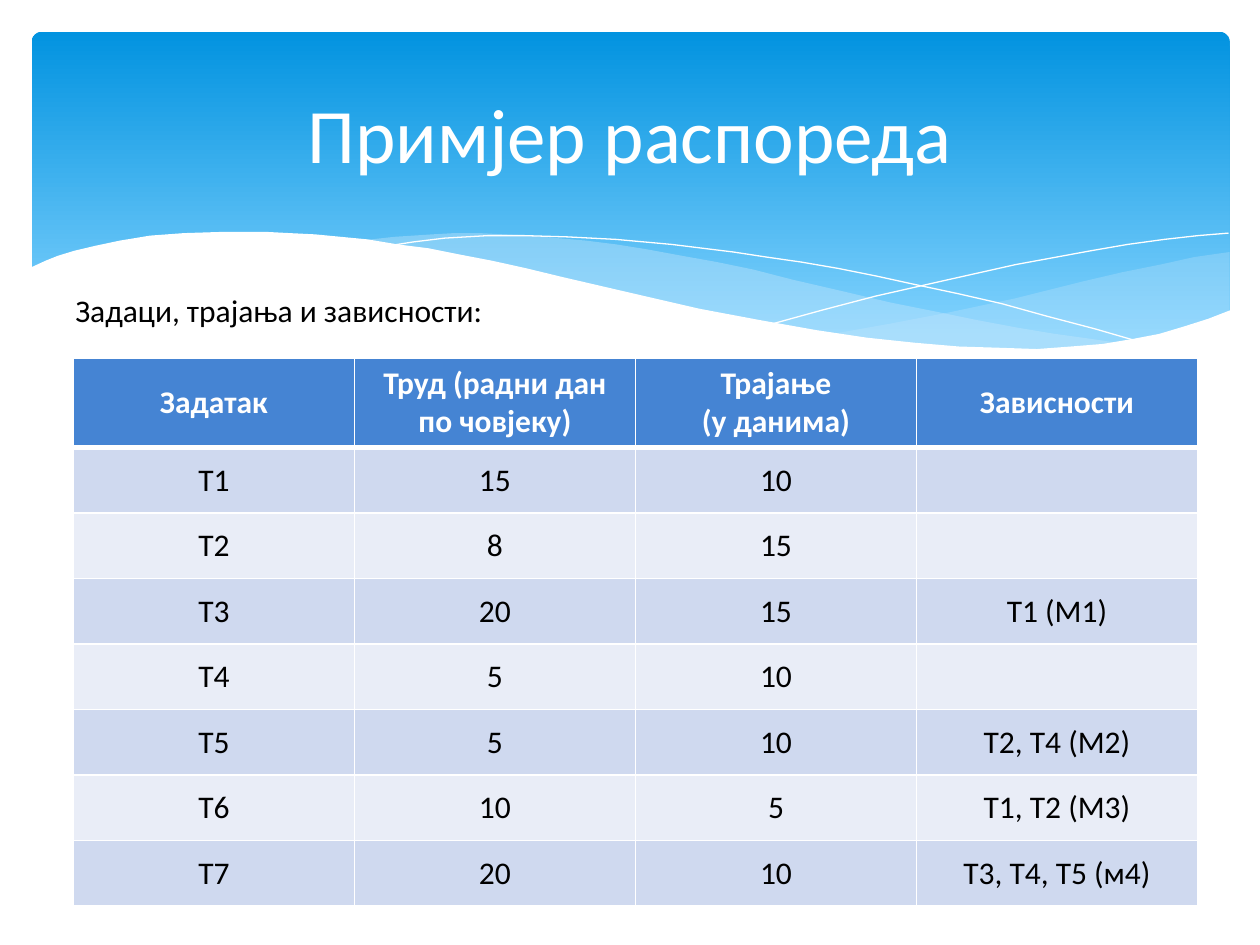
from lxml import etree
from pptx import Presentation
from pptx.dml.color import RGBColor
from pptx.enum.shapes import MSO_AUTO_SHAPE_TYPE as Shape
from pptx.enum.text import MSO_ANCHOR as Anchor, MSO_AUTO_SIZE as AutoSize, PP_ALIGN as Align
from pptx.oxml.ns import qn
from pptx.util import Cm, Pt

TITLE = "Примјер распореда"
CAPTION = "Задаци, трајања и зависности:"
ROWS = [
    ("Задатак", "Труд (радни дан по човјеку)", "Трајање\n(у данима)", "Зависности"),
    ("Т1", "15", "10", ""),
    ("Т2", "8", "15", ""),
    ("Т3", "20", "15", "Т1 (М1)"),
    ("Т4", "5", "10", ""),
    ("Т5", "5", "10", "Т2, Т4 (М2)"),
    ("Т6", "10", "5", "Т1, Т2 (М3)"),
    ("Т7", "20", "10", "Т3, Т4, Т5 (м4)"),
]
FONT = "Calibri"
COLORS = {
    "white": "FFFFFF", "black": "000000", "sky_top": "0293E0", "sky_low": "83D3FE",
    "wave": "C6E7FC", "header": "4584D3", "odd": "CFD9EF", "even": "E9EDF7",
}
WAVE_UNIT = Cm(2.54) / 100
RIGHT_WAVE = [
    (976, 200), (948, 204), (921, 210), (891, 216), (861, 223), (805, 237), (753, 248),
    (706, 257), (661, 265), (691, 269), (719, 272), (745, 275), (769, 277), (803, 278),
    (835, 277), (863, 275), (889, 272), (913, 267), (935, 262), (949, 257), (963, 252),
    (976, 247),
]
LONG_WAVE = [
    (893, 273), (866, 269), (837, 265), (807, 260), (775, 254), (741, 247), (706, 240),
    (668, 231), (629, 222), (598, 214), (569, 208), (541, 203), (514, 198), (489, 194),
    (465, 191), (442, 189), (420, 187), (399, 186), (380, 185), (361, 185), (344, 186),
    (313, 188), (286, 191), (323, 196), (362, 203), (404, 211), (449, 222), (491, 232),
    (530, 240), (566, 248), (601, 255), (634, 261), (665, 266), (695, 270), (722, 274),
    (748, 276), (773, 277), (796, 278), (828, 278), (857, 277), (876, 275),
]
FALLING_LINE = [
    (309, 195), (328, 192), (353, 189), (387, 187), (416, 187), (450, 188), (489, 190),
    (533, 194), (582, 200), (608, 204), (636, 208), (665, 213), (695, 219), (727, 226),
    (760, 233), (795, 241), (831, 251), (869, 261), (907, 272),
]
RISING_LINE = [
    (613, 257), (653, 246), (695, 235), (748, 223), (806, 210), (866, 199), (895, 194),
    (924, 190), (951, 187), (975, 185),
]
WHITE_WAVE = [
    (977, 246), (959, 253), (940, 259), (920, 265), (899, 269), (875, 273), (850, 275),
    (823, 277), (793, 276), (761, 275), (726, 272), (688, 268), (648, 262), (603, 254),
    (555, 245), (503, 233), (447, 220), (418, 213), (391, 207), (365, 202), (340, 197),
    (316, 194), (292, 190), (271, 188), (250, 186), (230, 185), (211, 184), (177, 184),
    (146, 185), (119, 187), (95, 191), (76, 195), (59, 199), (46, 203), (36, 207),
    (23, 213), (23, 329), (977, 329),
]
WAVES = [
    (RIGHT_WAVE, "wave", 29),
    (LONG_WAVE, "wave", 40),
    (FALLING_LINE, None, 100),
    (RISING_LINE, None, 100),
    (WHITE_WAVE, "white", 100),
]


def rgb(name):
    return RGBColor.from_string(COLORS[name])


def style(font, size, color, bold=False):
    font.name, font.size, font.bold = FONT, Pt(size), bold
    font.color.rgb = rgb(color)


def add_banner(s):
    sp = s.shapes.add_shape(Shape.ROUNDED_RECTANGLE, Cm(0.64), Cm(0.64), Cm(24.15), Cm(6.86))
    sp.adjustments[0] = 0.03
    sp.shadow.inherit = False
    sp.line.fill.background()
    sp.fill.gradient()
    sp.fill.gradient_angle = 270
    for stop, color, position in zip(sp.fill.gradient_stops, ("sky_top", "sky_low"), (0, 0.9)):
        stop.color.rgb = rgb(color)
        stop.position = position


def add_wave(s, points, color, opacity):
    builder = s.shapes.build_freeform(*points[0], scale=WAVE_UNIT)
    builder.add_line_segments(points[1:], close=color is not None)
    sp = builder.convert_to_shape()
    sp.shadow.inherit = False
    if color is None:
        sp.fill.background()
        sp.line.color.rgb = rgb("white")
        sp.line.width = Pt(0)
        return
    sp.line.fill.background()
    sp.fill.solid()
    sp.fill.fore_color.rgb = rgb(color)
    if opacity < 100:
        clr = sp.fill._xPr.find(".//" + qn("a:srgbClr"))
        etree.SubElement(clr, qn("a:alpha"), val=str(opacity * 1000))


def add_borders(cell, widths):
    tcPr = cell._tc.get_or_add_tcPr()
    for side, width in widths.items():
        ln = etree.SubElement(tcPr, qn("a:ln" + side), w=str(Pt(width)))
        fill = etree.SubElement(ln, qn("a:solidFill"))
        etree.SubElement(fill, qn("a:srgbClr"), val=COLORS["white"])


def add_schedule(s):
    n_rows, n_cols = len(ROWS), len(ROWS[0])
    table = s.shapes.add_table(n_rows, n_cols, Cm(1.48), Cm(7.22), Cm(22.66), Cm(10.84)).table
    for i, values in enumerate(ROWS):
        header = i == 0
        table.rows[i].height = Cm(1.6 if header else 1.32)
        band = "header" if header else ("even", "odd")[i % 2]
        for j, value in enumerate(values):
            cell = table.cell(i, j)
            add_borders(cell, {"L": 1, "R": 1, "T": 3 if i == 1 else 1, "B": 3 if header else 1})
            cell.fill.solid()
            cell.fill.fore_color.rgb = rgb(band)
            cell.vertical_anchor = Anchor.MIDDLE
            cell.text_frame.text = value
            for p in cell.text_frame.paragraphs:
                p.alignment = Align.CENTER
                for r in p.runs:
                    style(r.font, 18, "white" if header else "black", header)


def add_title(s):
    title = s.shapes.title
    title.left, title.top, title.width, title.height = Cm(1.27), Cm(0.94), Cm(22.86), Cm(3.48)
    tf = title.text_frame
    tf.text = TITLE
    tf.vertical_anchor = Anchor.MIDDLE
    p = tf.paragraphs[0]
    p.alignment = Align.CENTER
    style(p.runs[0].font, 44, "white")
    s.shapes._spTree.append(title._element)


def add_caption(s):
    tf = s.shapes.add_textbox(Cm(1.27), Cm(5.74), Cm(9.32), Cm(1.02)).text_frame
    tf.word_wrap = False
    tf.auto_size = AutoSize.SHAPE_TO_FIT_TEXT
    tf.text = CAPTION
    style(tf.paragraphs[0].runs[0].font, 18, "black")


def main():
    """Build the task schedule slide."""
    prs = Presentation()
    prs.slide_width, prs.slide_height = Cm(25.4), Cm(19.05)
    s = prs.slides.add_slide(prs.slide_layouts[5])
    add_banner(s)
    for points, color, opacity in WAVES:
        add_wave(s, points, color, opacity)
    add_title(s)
    add_schedule(s)
    add_caption(s)
    prs.save("out.pptx")


if __name__ == "__main__":
    main()
